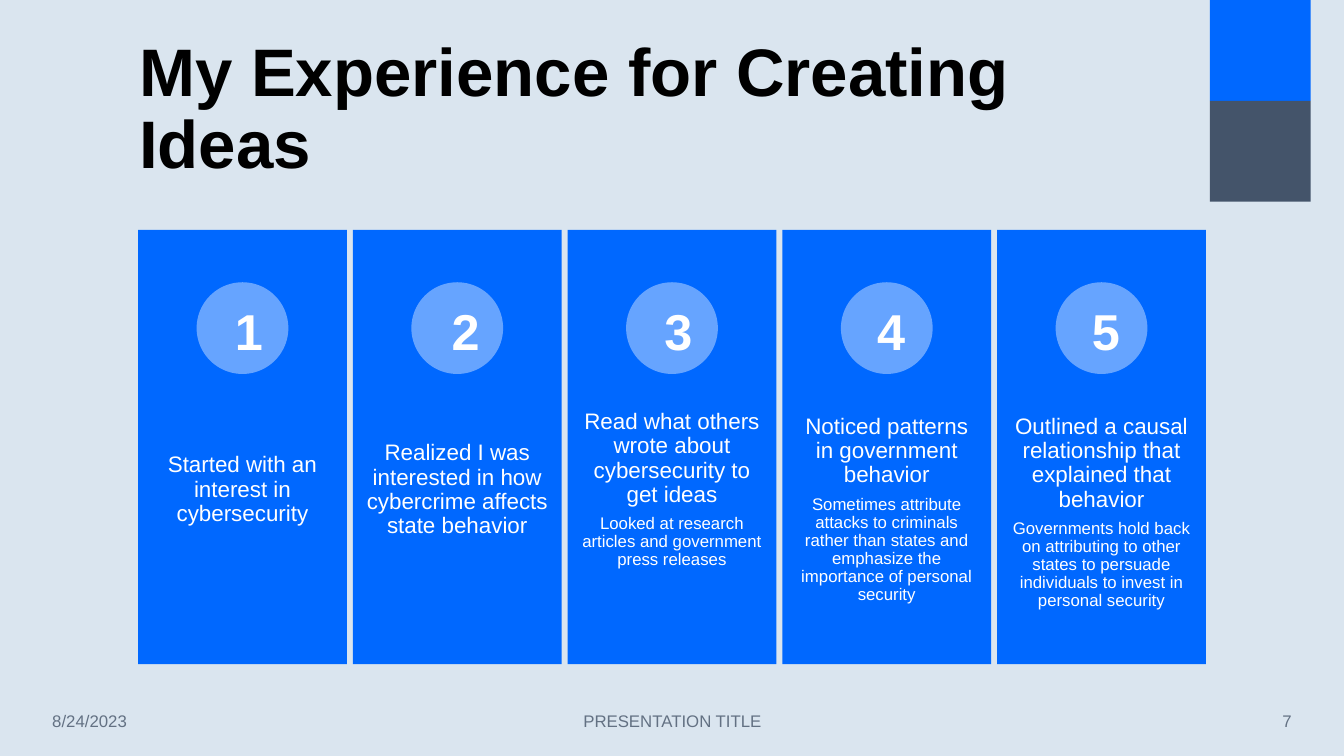
"""Build a slide of five numbered steps in the making of an idea."""
import pptx
import pptx.dml.color
import pptx.enum.shapes
import pptx.enum.text
import pptx.util

Inches = pptx.util.Inches
Pt = pptx.util.Pt
Align = pptx.enum.text.PP_ALIGN
Anchor = pptx.enum.text.MSO_ANCHOR
Shape = pptx.enum.shapes.MSO_SHAPE

HUES = {"back": "DAE5EF", "blue": "0068FF", "slate": "44546A", "disc": "66A4FF",
        "white": "FFFFFF", "black": "000000", "gray": "637183"}
TITLE = "My Experience for Creating Ideas"
STEPS = [
    ("Started with an interest in cybersecurity", None, Anchor.MIDDLE, 2.23),
    ("Realized I was interested in how cybercrime affects state behavior",
     None, Anchor.MIDDLE, 4.38),
    ("Read what others wrote about cybersecurity to get ideas",
     "Looked at research articles and government press releases", Anchor.MIDDLE, 6.49),
    ("Noticed patterns in government behavior",
     "Sometimes attribute attacks to criminals rather than states and emphasize "
     "the importance of personal security", Anchor.TOP, 8.6),
    ("Outlined a causal relationship that explained that behavior",
     "Governments hold back on attributing to other states to persuade "
     "individuals to invest in personal security", Anchor.TOP, 10.73),
]
FOOT = [
    ("8/24/2023", 0.42, 1.86, Align.LEFT),
    ("PRESENTATION TITLE", 4.42, 4.5, Align.CENTER),
    ("7", 11.1, 1.81, Align.RIGHT),
]
LEFT, TOP, WIDE, HIGH, STEP = 1.37, 2.28, 2.07, 4.31, 2.13
DISC = 0.91
LEAF_X, LEAF_H = 11.95, 0.86
CURVES = [
    ((12.47, 0), (12.95, 0), (13.33, 0.38), (13.33, 0.86)),
    ((12.81, 0.86), (12.36, 0.86), (12, 0.52), (11.95, 0.09)),
]


def color(name):
    """Return the named colour."""
    return pptx.dml.color.RGBColor.from_string(HUES[name])


def paint(shape, hue):
    """Give a shape a flat fill without line or shadow."""
    shape.fill.solid()
    shape.fill.fore_color.rgb = color(hue)
    shape.line.fill.background()
    shape.shadow.inherit = False


def block(slide, kind, box, hue):
    """Add a plain preset shape."""
    paint(slide.shapes.add_shape(kind, *map(Inches, box)), hue)


def write(shape, *lines, hue="white", bold=False, align=Align.CENTER,
          anchor=Anchor.TOP, space=1.0, inset=None):
    """Fill a shape with lines of (text, size, points after)."""
    frame = shape.text_frame
    frame.word_wrap = True
    frame.auto_size = pptx.enum.text.MSO_AUTO_SIZE.NONE
    frame.vertical_anchor = anchor
    if inset is not None:
        frame.margin_left = frame.margin_right = Inches(inset)
        frame.margin_top = frame.margin_bottom = Inches(inset)
    for i, (text, size, after) in enumerate(lines):
        para = frame.add_paragraph() if i else frame.paragraphs[0]
        para.alignment = align
        para.line_spacing = space
        para.space_after = Pt(after)
        run = para.add_run()
        run.text = text
        run.font.name = "Arial"
        run.font.size = Pt(size)
        run.font.bold = bold
        run.font.color.rgb = color(hue)


def label(slide, box, *lines, **style):
    """Add a text box."""
    write(slide.shapes.add_textbox(*map(Inches, box)), *lines, **style)


def bend(curve, count=24):
    """Return points along a cubic curve."""
    spots = []
    for i in range(count + 1):
        t = i / count
        parts = ((1 - t) ** 3, 3 * t * (1 - t) ** 2, 3 * t * t * (1 - t), t ** 3)
        spots.append(tuple(sum(w * p[k] for w, p in zip(parts, curve)) for k in (0, 1)))
    return spots


def leaf(slide, hue, flip):
    """Draw a corner leaf, mirrored below the first when flipped."""
    spots = [(LEAF_X, 0)] + [spot for curve in CURVES for spot in bend(curve)]
    if flip:
        spots = [(x, 2 * LEAF_H - y) for x, y in spots]
    build = slide.shapes.build_freeform(*spots[0], scale=Inches(1))
    build.add_line_segments(spots[1:], close=True)
    paint(build.convert_to_shape(), hue)


def main():
    """Build and save the slide."""
    deck = pptx.Presentation()
    deck.slide_width, deck.slide_height = Inches(13.33), Inches(7.5)
    slide = deck.slides.add_slide(deck.slide_layouts[5])
    slide.background.fill.solid()
    slide.background.fill.fore_color.rgb = color("back")

    leaf(slide, "blue", False)
    leaf(slide, "slate", True)

    title = slide.shapes.title
    title.left, title.top, title.width, title.height = map(Inches, (1.28, 0.42, 10.69, 1.45))
    write(title, (TITLE, 48, 0), hue="black", bold=True, align=Align.LEFT,
          anchor=Anchor.BOTTOM, space=0.9)

    for i, (head, note, anchor, digit) in enumerate(STEPS):
        x = LEFT + i * STEP
        block(slide, Shape.RECTANGLE, (x, TOP, WIDE, HIGH), "blue")
        lines = [(head, 16, 5.6)]
        if note:
            lines.append((note, 12, 4.2 if anchor == Anchor.MIDDLE else 1.8))
        label(slide, (x, 4, WIDE, 1.72), *lines, anchor=anchor, space=0.9, inset=0.12)
        block(slide, Shape.OVAL, (x + (WIDE - DISC) / 2, 2.8, DISC, DISC), "disc")
        label(slide, (digit, 2.93, 0.38, 0.71), (str(i + 1), 36, 0), bold=True)

    for text, x, wide, align in FOOT:
        label(slide, (x, 6.95, wide, 0.4), (text, 12, 0), hue="gray",
              align=align, anchor=Anchor.MIDDLE)

    deck.save("out.pptx")


if __name__ == "__main__":
    main()
